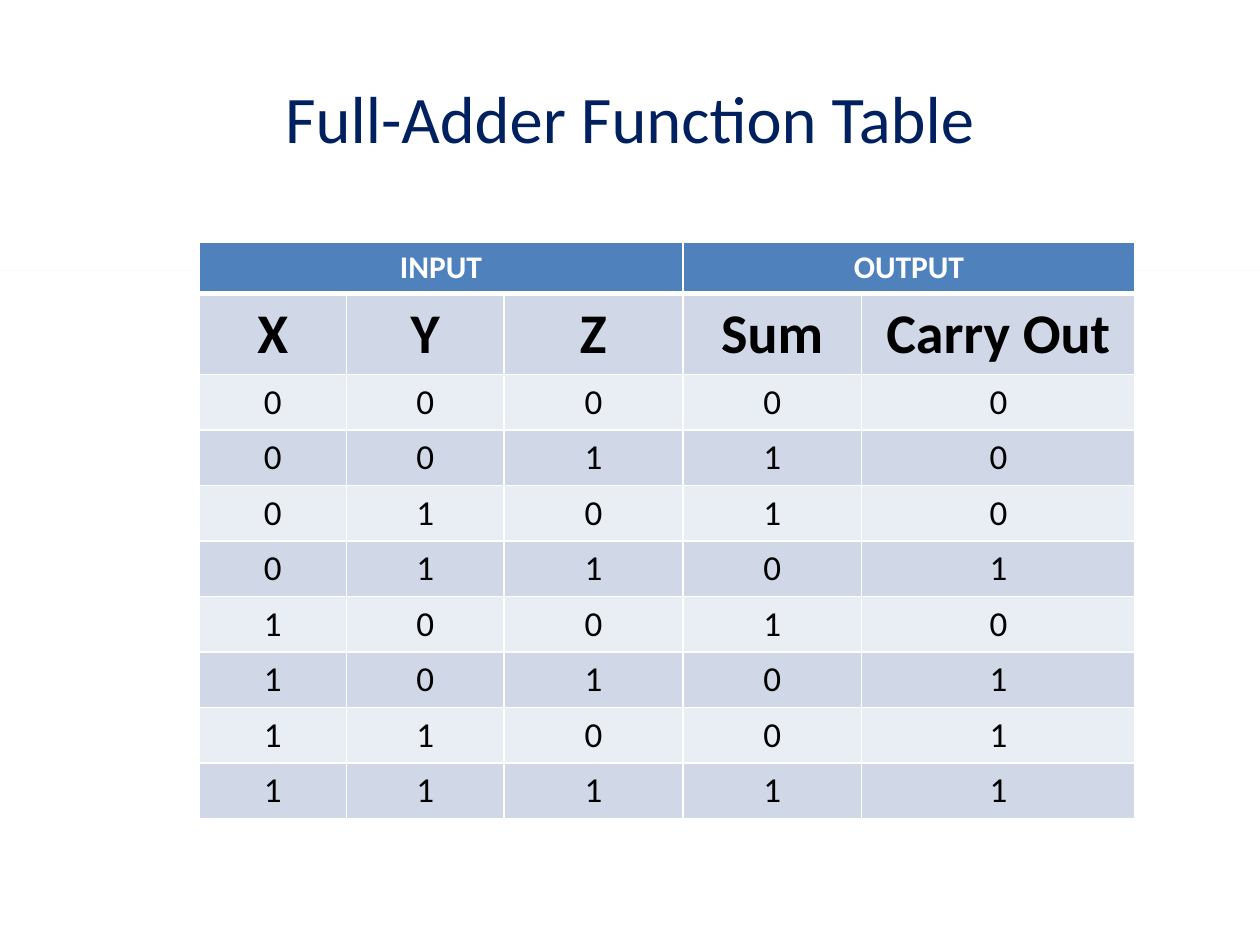
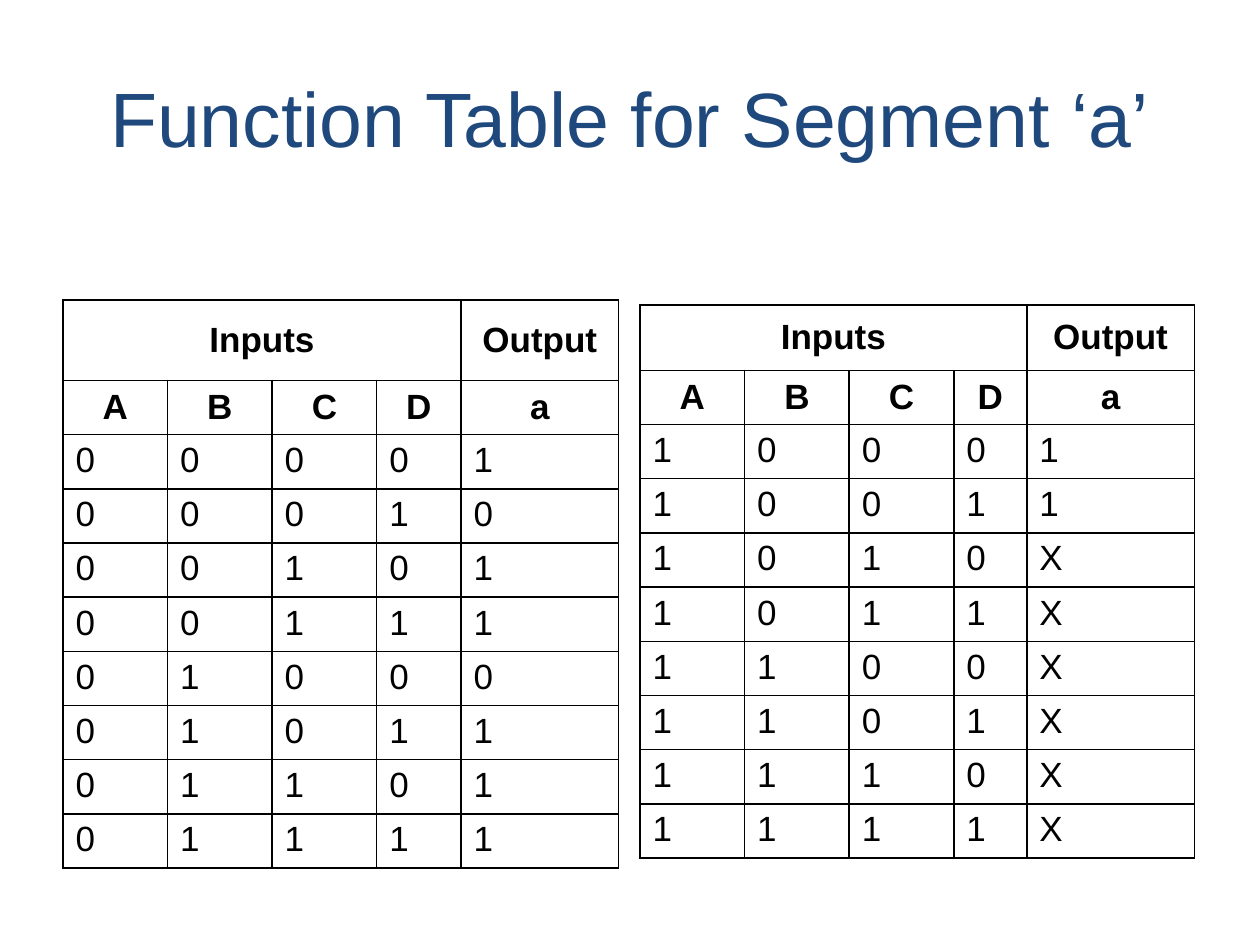
"""Builds two slides of logic function tables."""
import itertools

import lxml.etree
import pptx
import pptx.dml.color
import pptx.enum.shapes
import pptx.enum.text
import pptx.oxml.ns
import pptx.util

Inches = pptx.util.Inches
Pt = pptx.util.Pt
Align = pptx.enum.text.PP_ALIGN
Anchor = pptx.enum.text.MSO_ANCHOR
HUES = {"navy": "002060", "blue": "1F497D", "head": "4F81BD", "dark": "D0D8E8",
        "light": "E9EDF4", "rule": "E6E6E6", "white": "FFFFFF", "black": "000000"}


def hue(name):
    return pptx.dml.color.RGBColor.from_string(HUES[name])


def write(frame, text, font="Calibri", size=20, color="black", bold=False,
          align=Align.CENTER, hang=0):
    par = frame.paragraphs[0]
    par.alignment = align
    if hang:
        props = par._p.get_or_add_pPr()
        props.set("marL", str(Inches(hang)))
        props.set("indent", str(-Inches(hang)))
    run = par.add_run()
    run.text = text
    run.font.name = font
    run.font.size = Pt(size)
    run.font.bold = bold
    run.font.color.rgb = hue(color)


def edge(cell, side, color, width):
    tag = pptx.oxml.ns.qn
    line = lxml.etree.SubElement(cell._tc.get_or_add_tcPr(), tag(f"a:ln{side}"),
                                 w=str(Pt(width)))
    fill = lxml.etree.SubElement(line, tag("a:solidFill"))
    lxml.etree.SubElement(fill, tag("a:srgbClr"), val=HUES[color])


class Deck:
    def __init__(self):
        self.show = pptx.Presentation()
        self.show.slide_width = Inches(10)
        self.show.slide_height = Inches(7.5)
        self.slide = None

    def start(self, text, **style):
        self.slide = self.show.slides.add_slide(self.show.slide_layouts[5])
        title = self.slide.shapes.title
        title.left, title.top = Inches(0.5), Inches(0.3)
        title.width, title.height = Inches(9), Inches(1.25)
        title.text_frame.vertical_anchor = Anchor.MIDDLE
        write(title.text_frame, text, **style)

    def rule(self, top):
        bar = self.slide.shapes.add_shape(pptx.enum.shapes.MSO_SHAPE.RECTANGLE,
                                          0, Inches(top), Inches(10), 0)
        bar.shadow.inherit = False
        bar.fill.solid()
        bar.fill.fore_color.rgb = hue("rule")
        bar.line.fill.background()

    def table(self, left, top, cols, highs, rows, spans, styles, line,
              fills=None, thick=1):
        grid = self.slide.shapes.add_table(
            len(rows), len(cols), Inches(left), Inches(top),
            Inches(sum(cols)), Inches(sum(highs))).table
        grid.first_row = grid.horz_banding = False
        for col, wide in zip(grid.columns, cols):
            col.width = Inches(wide)
        for row, high in zip(grid.rows, highs):
            row.height = Inches(high)
        for first, last in spans:
            grid.cell(0, first).merge(grid.cell(0, last))
        for (r, row), c in itertools.product(enumerate(rows), range(len(cols))):
            cell = grid.cell(r, c)
            for side in "LRTB":
                heavy = (r, side) in ((0, "B"), (1, "T"))
                edge(cell, side, line, thick if heavy else 1)
            if fills:
                cell.fill.solid()
                cell.fill.fore_color.rgb = hue(fills[r])
            else:
                cell.fill.background()
            style = styles[min(r, 2)]
            middle = style.get("align") != Align.JUSTIFY
            cell.vertical_anchor = Anchor.MIDDLE if middle else Anchor.TOP
            if row[c]:
                write(cell.text_frame, row[c], **style)


def adder(deck):
    deck.start("Full-Adder Function Table", size=38, color="navy")
    deck.rule(2.15)
    rows = [["INPUT", "", "", "OUTPUT", ""], ["X", "Y", "Z", "Sum", "Carry Out"]]
    for bits in itertools.product((0, 1), repeat=3):
        carry, total = divmod(sum(bits), 2)
        rows.append([str(bit) for bit in (*bits, total, carry)])
    styles = [dict(size=18, color="white", bold=True), dict(size=32, bold=True), {}]
    deck.table(1.58, 1.92, [1.17, 1.25, 1.42, 1.42, 2.17],
               [0.41, 0.63] + [0.43] * 8, rows, [(0, 2), (3, 4)], styles, "white",
               fills=["head", "dark"] + ["light", "dark"] * 4, thick=3)


def segment(deck):
    deck.start("Function Table for Segment ‘a’", font="Arial", size=44, color="blue")
    halves = [("0", "10110111", 0.5, 2.38, 0.64, [0.67, 1.25], 0.38),
              ("1", "11XXXXXX", 5.08, 2.42, 0.52, [0.58, 1.33], 0)]
    for lead, outs, left, top, high, ends, hang in halves:
        rows = [["Inputs", "", "", "", "Output"], list("ABCDa")]
        for bits, out in zip(itertools.product("01", repeat=3), outs):
            rows.append([lead, *bits, out])
        head = dict(font="Arial", bold=True, hang=hang)
        body = dict(font="Arial", align=Align.JUSTIFY, hang=hang)
        deck.table(left, top, [0.83] * 3 + ends, [high] + [0.43] * 9, rows,
                   [(0, 3)], [head, head, body], "black")


def main():
    deck = Deck()
    adder(deck)
    segment(deck)
    deck.show.save("out.pptx")


if __name__ == "__main__":
    main()
